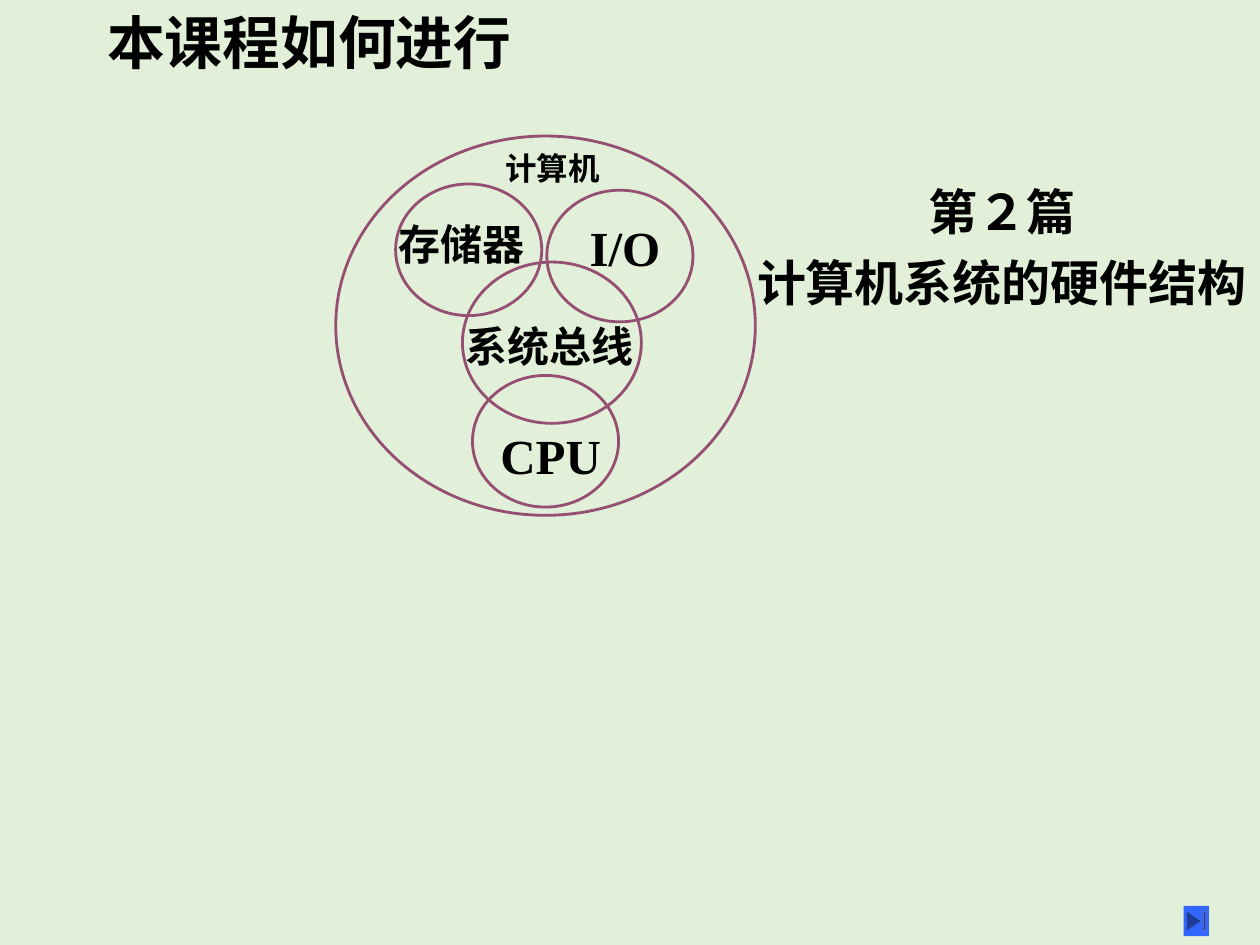
from typing import NamedTuple

from pptx import Presentation
from pptx.dml.color import RGBColor
from pptx.enum.shapes import MSO_SHAPE
from pptx.enum.text import MSO_ANCHOR, MSO_AUTO_SIZE, PP_ALIGN
from pptx.oxml.ns import qn
from pptx.util import Inches, Pt

BACKGROUND = RGBColor(0xE2, 0xF0, 0xD9)
PLUM = RGBColor(0x95, 0x4F, 0x72)
BLUE = RGBColor(0x33, 0x66, 0xFF)
BLACK = RGBColor(0, 0, 0)
CHINESE_FONT = "Noto Sans CJK SC"
LATIN_FONT = "Times New Roman"
SLIDE_WIDTH = Inches(10)
SLIDE_HEIGHT = Inches(7.5)


class Box(NamedTuple):
    """Left and width as percent of slide width, top and height of slide height."""
    left: float
    top: float
    width: float
    height: float

    def lengths(self) -> tuple:
        return (int(SLIDE_WIDTH * self.left / 100), int(SLIDE_HEIGHT * self.top / 100),
                int(SLIDE_WIDTH * self.width / 100), int(SLIDE_HEIGHT * self.height / 100))


class Label(NamedTuple):
    lines: tuple
    box: Box
    size: float
    font: str = CHINESE_FONT
    align: PP_ALIGN = PP_ALIGN.CENTER
    wrap: bool = False
    margins: tuple = (0, 0)


PART_SIZE = (11.6, 13.93)
CIRCLES = (
    Box(26.65, 14.4, 33.3, 40.13),     # computer
    Box(36.7, 27.73, 14.2, 17.07),     # system bus
    Box(31.4, 19.47, *PART_SIZE),      # memory
    Box(43.4, 20.13, *PART_SIZE),      # I/O
    Box(37.5, 39.73, *PART_SIZE),      # CPU
)
LABELS = (
    Label(("第２篇", "计算机系统的硬件结构"), Box(59.1, 18.53, 40.8, 15.07), 28,
          margins=(0.1, 0.05)),
    Label(("计算机",), Box(40.1, 15.73, 7.6, 4), 18, align=PP_ALIGN.LEFT),
    Label(("I/O",), Box(45.5, 23.07, 8.2, 6.27), 28, LATIN_FONT, wrap=True),
    Label(("系统总线",), Box(36.8, 33.87, 13.6, 5.33), 24),
    Label(("存储器",), Box(31.6, 23.07, 10.1, 5.33), 24, align=PP_ALIGN.LEFT),
    Label(("CPU",), Box(39.7, 45.07, 8, 6.27), 28, LATIN_FONT),
)
TITLE_BOX = Box(7.5, 0, 85, 9.73)
BUTTON_BOX = Box(93.95, 95.87, 2, 3.2)


def add_bold_run(paragraph, text: str, size: float, font: str) -> None:
    run = paragraph.add_run()
    run.text = text
    run.font.size = Pt(size)
    run.font.bold = True
    run.font.color.rgb = BLACK
    run.font.name = font
    east_asian = run.font._element.makeelement(qn("a:ea"), {"typeface": CHINESE_FONT})
    run.font._element.find(qn("a:latin")).addnext(east_asian)


def add_circle(slide, box: Box) -> None:
    shape = slide.shapes.add_shape(MSO_SHAPE.OVAL, *box.lengths())
    shape.shadow.inherit = False
    shape.fill.background()
    shape.line.color.rgb = PLUM
    shape.line.width = Pt(1.62)


def add_label(slide, label: Label) -> None:
    frame = slide.shapes.add_textbox(*label.box.lengths()).text_frame
    frame.word_wrap = label.wrap
    frame.auto_size = MSO_AUTO_SIZE.SHAPE_TO_FIT_TEXT
    frame.margin_left = frame.margin_right = Inches(label.margins[0])
    frame.margin_top = frame.margin_bottom = Inches(label.margins[1])
    for index, line in enumerate(label.lines):
        paragraph = frame.add_paragraph() if index else frame.paragraphs[0]
        paragraph.alignment = label.align
        if index:
            paragraph.space_before = Pt(label.size / 4)
        add_bold_run(paragraph, line, label.size, label.font)


def format_title(title, text: str) -> None:
    title.left, title.top, title.width, title.height = TITLE_BOX.lengths()
    frame = title.text_frame
    frame.auto_size = MSO_AUTO_SIZE.NONE
    frame.vertical_anchor = MSO_ANCHOR.MIDDLE
    paragraph = frame.paragraphs[0]
    paragraph.alignment = PP_ALIGN.LEFT
    paragraph.line_spacing = 0.9
    add_bold_run(paragraph, text, 33, "Calibri")


def add_end_button(slide) -> None:
    button = slide.shapes.add_shape(MSO_SHAPE.ACTION_BUTTON_END, *BUTTON_BOX.lengths())
    button.shadow.inherit = False
    button.fill.solid()
    button.fill.fore_color.rgb = BLUE
    button.line.fill.background()


def main() -> None:
    presentation = Presentation()
    presentation.slide_width = SLIDE_WIDTH
    presentation.slide_height = SLIDE_HEIGHT
    slide = presentation.slides.add_slide(presentation.slide_layouts[5])
    slide.background.fill.solid()
    slide.background.fill.fore_color.rgb = BACKGROUND
    format_title(slide.shapes.title, "本课程如何进行")
    for circle in CIRCLES:
        add_circle(slide, circle)
    for label in LABELS:
        add_label(slide, label)
    add_end_button(slide)
    presentation.save("out.pptx")


if __name__ == "__main__":
    main()
